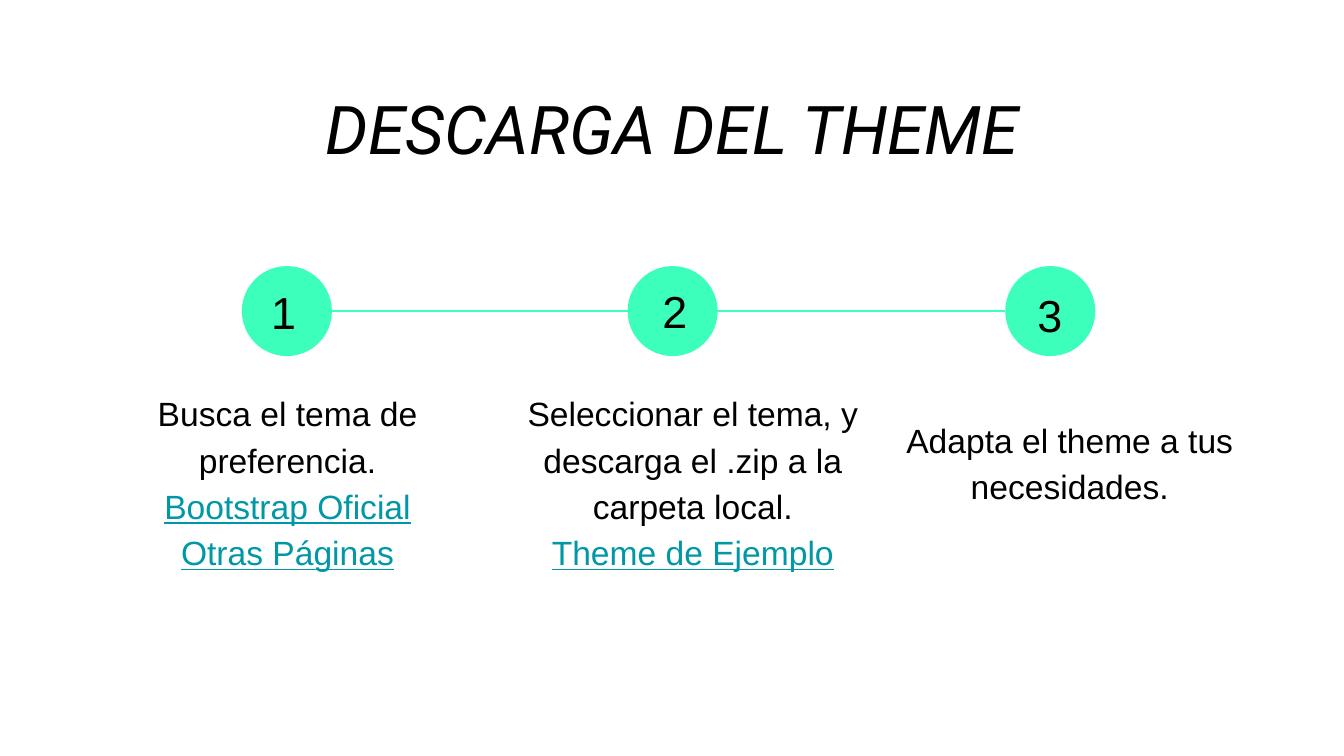
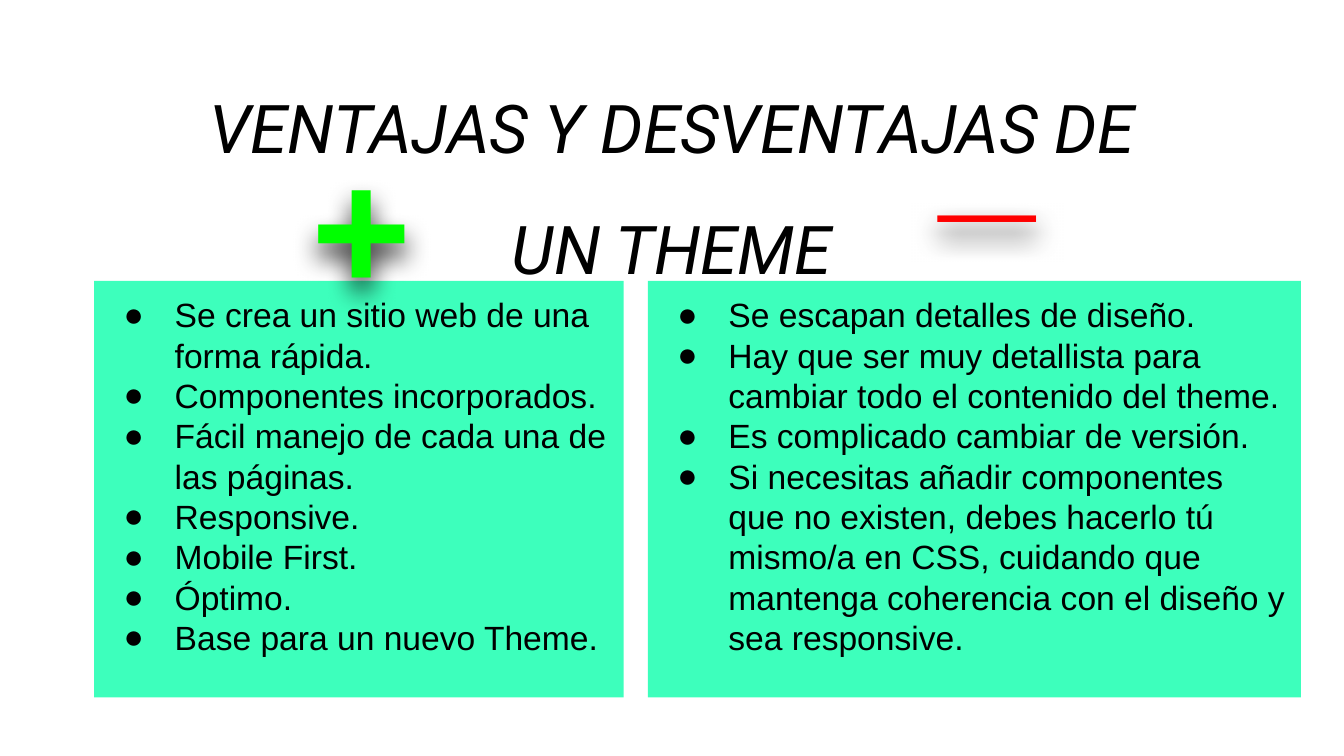
import pptx
import pptx.util
import pptx.dml.color
import pptx.enum.shapes
import pptx.enum.text
import pptx.oxml
import pptx.oxml.ns
from dataclasses import dataclass

Inch = pptx.util.Inches
Pt = pptx.util.Pt
Align = pptx.enum.text.PP_ALIGN
Anchor = pptx.enum.text.MSO_ANCHOR


@dataclass(frozen=True)
class Theme:
    ink: str = "000000"
    mint: str = "3DFFBC"
    link: str = "0097A7"
    plus: str = "00FF00"
    minus: str = "FF0000"
    head: str = "Roboto"
    text: str = "Arial"
    title: int = 36
    body: int = 18
    digit: int = 24
    sign: int = 92


LOOK = Theme()
WIDE = 10
HIGH = WIDE * 9 / 16
DOT, DOT_TOP = 0.67, 1.98
LIST_TOP, LIST_HIGH = 2.09, 3.1

HEADS = {
    "steps": ("DESCARGA DEL THEME", (0.94, 0.25, 8.13, 1.07)),
    "sides": ("VENTAJAS Y DESVENTAJAS DE UN THEME", (1.14, 0.24, 7.72, 1.07)),
}

STEPS = [
    {"dot": 1.8, "digit": (1.92, 2.02, 0.3, 0.4), "box": (1.01, 2.26, 1.46),
     "text": "Busca el tema de preferencia.",
     "links": ["Bootstrap Oficial", "Otras Páginas"]},
    {"dot": 4.67, "digit": (4.83, 2.01, 0.3, 0.4), "box": (3.8, 2.71, 1.46),
     "text": "Seleccionar el tema, y descarga el .zip a la carpeta local.",
     "links": ["Theme de Ejemplo"]},
    {"dot": 7.48, "digit": (7.62, 2.04, 0.3, 0.34), "box": (6.56, 2.8, 1.17),
     "text": "Adapta el theme a tus necesidades.",
     "links": []},
]

SIDES = [
    {"left": 0.7, "width": 3.94, "sign": "+", "tint": LOOK.plus,
     "spot": (2.22, 0.79),
     "items": [
         "Se crea un sitio web de una forma rápida.",
         "Componentes incorporados.",
         "Fácil manejo de cada una de las páginas.",
         "Responsive.",
         "Mobile First.",
         "Óptimo.",
         "Base para un nuevo Theme.",
     ]},
    {"left": 4.82, "width": 4.86, "sign": "_", "tint": LOOK.minus,
     "spot": (6.89, 0.12),
     "items": [
         "Se escapan detalles de diseño.",
         "Hay que ser muy detallista para cambiar todo el contenido del theme.",
         "Es complicado cambiar de versión.",
         "Si necesitas añadir componentes que no existen, debes hacerlo tú "
         "mismo/a en CSS, cuidando que mantenga coherencia con el diseño y "
         "sea responsive.",
     ]},
]


def tone(code):
    return pptx.dml.color.RGBColor.from_string(code)


def place(shape, area):
    shape.left, shape.top, shape.width, shape.height = map(Inch, area)


def frame(shape, anchor=Anchor.TOP):
    box = shape.text_frame
    box.word_wrap = True
    box.auto_size = pptx.enum.text.MSO_AUTO_SIZE.NONE
    box.vertical_anchor = anchor
    box.margin_left = box.margin_right = Inch(0.1)
    box.margin_top = box.margin_bottom = Inch(0.1)
    return box


def line(box, index, align=Align.LEFT, pitch=1.0):
    para = box.add_paragraph() if index else box.paragraphs[0]
    para.alignment = align
    para.line_spacing = pitch
    para.space_before = Pt(0)
    return para


def write(para, text, size=LOOK.body, color=LOOK.ink, face=LOOK.text):
    run = para.add_run()
    run.text = text
    run.font.size = Pt(size)
    run.font.name = face
    run.font.color.rgb = tone(color)
    return run


def label(slide, area, anchor=Anchor.TOP):
    shape = slide.shapes.add_textbox(*map(Inch, area))
    return shape, frame(shape, anchor)


def effect(shape, inner=""):
    space = pptx.oxml.ns.nsdecls("a")
    node = pptx.oxml.parse_xml(f"<a:effectLst {space}>{inner}</a:effectLst>")
    shape._element.spPr.append(node)


def shade(shape):
    blur, gap = Inch(0.2), Inch(0.1)
    effect(shape, f'<a:outerShdw blurRad="{blur}" dist="{gap}" dir="5400000" '
                  'algn="bl" rotWithShape="0"><a:srgbClr val="000000">'
                  '<a:alpha val="80000"/></a:srgbClr></a:outerShdw>')


def bullet(para):
    props = para._p.get_or_add_pPr()
    props.set("marL", str(Inch(0.5)))
    props.set("indent", str(Inch(-0.38)))
    space = pptx.oxml.ns.nsdecls("a")
    for part in (
        f'<a:buClr {space}><a:srgbClr val="{LOOK.ink}"/></a:buClr>',
        f'<a:buFont {space} typeface="{LOOK.text}"/>',
        f'<a:buChar {space} char="●"/>',
    ):
        props.append(pptx.oxml.parse_xml(part))


def start(deck, layout, key):
    slide = deck.slides.add_slide(deck.slide_layouts[layout])
    text, area = HEADS[key]
    title = slide.shapes.title
    place(title, area)
    para = line(frame(title), 0, Align.CENTER, 1.5)
    para.space_after = Pt(11)
    write(para, text, LOOK.title, face=LOOK.head).font.italic = True
    return slide


def steps(deck):
    slide = start(deck, 5, "steps")
    mid = Inch(DOT_TOP + DOT / 2)
    rail = slide.shapes.add_connector(
        pptx.enum.shapes.MSO_CONNECTOR.STRAIGHT,
        Inch(STEPS[0]["dot"] + DOT), mid, Inch(STEPS[-1]["dot"]), mid)
    rail.line.color.rgb = tone(LOOK.mint)
    rail.line.width = Pt(0.75)
    effect(rail)
    for count, step in enumerate(STEPS, 1):
        dot = slide.shapes.add_shape(
            pptx.enum.shapes.MSO_SHAPE.OVAL,
            *map(Inch, (step["dot"], DOT_TOP, DOT, DOT)))
        dot.shadow.inherit = False
        dot.fill.solid()
        dot.fill.fore_color.rgb = tone(LOOK.mint)
        dot.line.fill.background()
        left, width, height = step["box"]
        box = label(slide, (left, 2.84, width, height), Anchor.MIDDLE)[1]
        write(line(box, 0, Align.CENTER, 1.15), step["text"])
        for row, link in enumerate(step["links"], 1):
            para = line(box, row, Align.CENTER, 1.15)
            write(para, link, color=LOOK.link).font.underline = True
        box = label(slide, step["digit"])[1]
        write(line(box, 0), str(count), LOOK.digit)


def sides(deck):
    slide = start(deck, 3, "sides")
    for slot, side in enumerate(SIDES, 1):
        panel = slide.placeholders[slot]
        place(panel, (side["left"], LIST_TOP, side["width"], LIST_HIGH))
        panel.fill.solid()
        panel.fill.fore_color.rgb = tone(LOOK.mint)
        box = frame(panel)
        for row, item in enumerate(side["items"]):
            para = line(box, row)
            bullet(para)
            write(para, item)
        mark, box = label(slide, (*side["spot"], 0.89, 1.46))
        write(line(box, 0), side["sign"], LOOK.sign, side["tint"]).font.bold = True
        shade(mark)


def main():
    deck = pptx.Presentation()
    deck.slide_width, deck.slide_height = Inch(WIDE), Inch(HIGH)
    steps(deck)
    sides(deck)
    deck.save("out.pptx")


if __name__ == "__main__":
    main()
